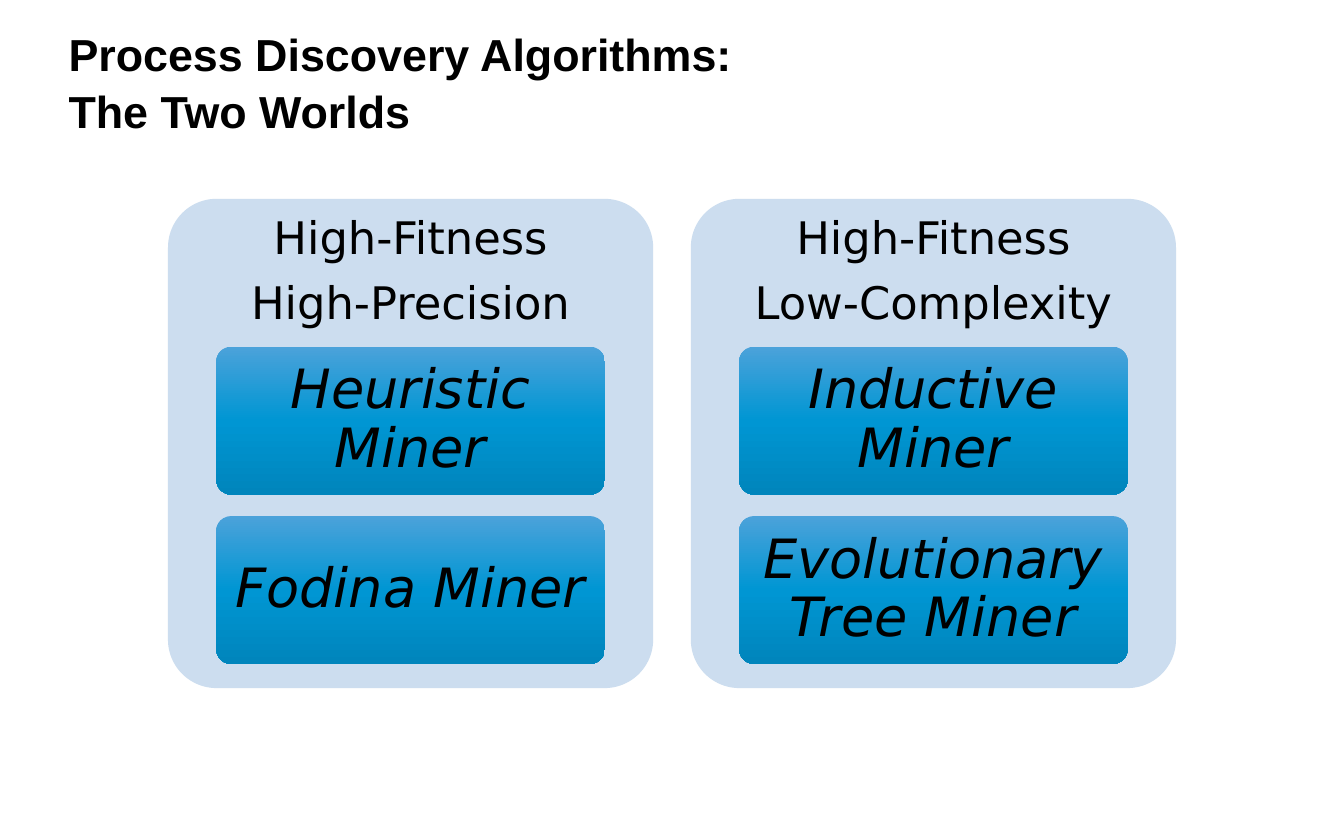
from copy import deepcopy
from dataclasses import dataclass

from pptx import Presentation
from pptx.dml.color import RGBColor
from pptx.enum.shapes import MSO_SHAPE
from pptx.enum.text import MSO_ANCHOR, MSO_AUTO_SIZE, PP_ALIGN
from pptx.oxml.ns import qn
from pptx.util import Inches, Pt


@dataclass(frozen=True)
class Theme:
    ink: str = "000000"
    panel: str = "CCDDEF"
    card_gradient: tuple = ("4BA2DA", "0096D3", "0085BC")
    title_font: str = "Arial"
    body_font: str = "DejaVu Sans"
    heading_size: int = 24
    card_size: int = 29


THEME = Theme()

PANEL_LEFT, PANEL_TOP = 1.25, 1.48
PANEL_WIDTH, PANEL_HEIGHT = 3.61, 3.64
PANEL_PITCH = 3.89
HEADING_HEIGHT = 1.09
CARD_WIDTH, CARD_HEIGHT = 2.89, 1.1
CARD_TOP, CARD_PITCH = 2.58, 1.26

WORLDS = [
    (["High-Fitness", "High-Precision"], ["Heuristic Miner", "Fodina Miner"]),
    (["High-Fitness", "Low-Complexity"], ["Inductive Miner", "Evolutionary Tree Miner"]),
]


def write_text(frame, lines, *, size, font, bold=False, italic=False,
               align=PP_ALIGN.CENTER, anchor=MSO_ANCHOR.MIDDLE,
               line_spacing=0.9, gap=0, insets=(0, 0, 0, 0)):
    """Fill a text frame, one paragraph a line; insets are left, top, right, bottom."""
    frame.word_wrap = True
    frame.auto_size = MSO_AUTO_SIZE.NONE
    frame.vertical_anchor = anchor
    (frame.margin_left, frame.margin_top,
     frame.margin_right, frame.margin_bottom) = map(Inches, insets)
    for index, line in enumerate(lines):
        para = frame.add_paragraph() if index else frame.paragraphs[0]
        para.text = line
        para.alignment = align
        para.line_spacing = line_spacing
        para.space_before = Pt(gap if index else 0)
        for span in para.runs:
            span.font.size = Pt(size)
            span.font.name = font
            span.font.bold = bold
            span.font.italic = italic
            span.font.color.rgb = RGBColor.from_string(THEME.ink)


def fill_gradient(shape, colors):
    """Spread the colours evenly from the top to the bottom of the shape."""
    shape.fill.gradient()
    shape.fill.gradient_angle = 270
    stop_list = shape._element.spPr.find(qn("a:gradFill")).find(qn("a:gsLst"))
    while len(stop_list) < len(colors):
        stop_list.append(deepcopy(stop_list[0]))
    for index, (stop, color) in enumerate(zip(shape.fill.gradient_stops, colors)):
        stop.position = index / (len(colors) - 1)
        stop.color.rgb = RGBColor.from_string(color)


class PageBuilder:
    """Holds the theme and the current slide."""

    def __init__(self, page, theme):
        self.page = page
        self.theme = theme

    def title(self, text):
        box = self.page.shapes.title
        box.left, box.top = Inches(0.51), Inches(0.15)
        box.width, box.height = Inches(7.48), Inches(0.99)
        write_text(box.text_frame, [text], size=self.theme.heading_size,
                   font=self.theme.title_font, bold=True, align=PP_ALIGN.LEFT,
                   anchor=MSO_ANCHOR.TOP, line_spacing=1.05, insets=(0, 0.03, 0, 0))

    def rounded_box(self, left, top, width, height):
        box = self.page.shapes.add_shape(
            MSO_SHAPE.ROUNDED_RECTANGLE,
            Inches(left), Inches(top), Inches(width), Inches(height))
        box.adjustments[0] = 0.1
        box.shadow.inherit = False
        box.line.fill.background()
        return box

    def panel(self, left, top):
        box = self.rounded_box(left, top, PANEL_WIDTH, PANEL_HEIGHT)
        box.fill.solid()
        box.fill.fore_color.rgb = RGBColor.from_string(self.theme.panel)

    def heading(self, left, top, lines):
        box = self.page.shapes.add_textbox(
            Inches(left), Inches(top), Inches(PANEL_WIDTH), Inches(HEADING_HEIGHT))
        write_text(box.text_frame, lines, size=self.theme.heading_size,
                   font=self.theme.body_font, gap=9, insets=(0.1, 0.1, 0.1, 0.1))

    def card(self, left, top, text):
        box = self.rounded_box(left, top, CARD_WIDTH, CARD_HEIGHT)
        fill_gradient(box, self.theme.card_gradient)
        write_text(box.text_frame, [text], size=self.theme.card_size,
                   font=self.theme.body_font, italic=True,
                   insets=(0.08, 0.06, 0.08, 0.06))


def main():
    deck = Presentation()
    deck.slide_width, deck.slide_height = Inches(10), Inches(6.25)
    title_only = deck.slide_layouts[5]
    builder = PageBuilder(deck.slides.add_slide(title_only), THEME)

    builder.title("Process Discovery Algorithms:\vThe Two Worlds")
    for column, (heading, miners) in enumerate(WORLDS):
        left = PANEL_LEFT + column * PANEL_PITCH
        builder.panel(left, PANEL_TOP)
        builder.heading(left, PANEL_TOP, heading)
        card_left = left + (PANEL_WIDTH - CARD_WIDTH) / 2
        for row, miner in enumerate(miners):
            builder.card(card_left, CARD_TOP + row * CARD_PITCH, miner)

    deck.save("out.pptx")


if __name__ == "__main__":
    main()
